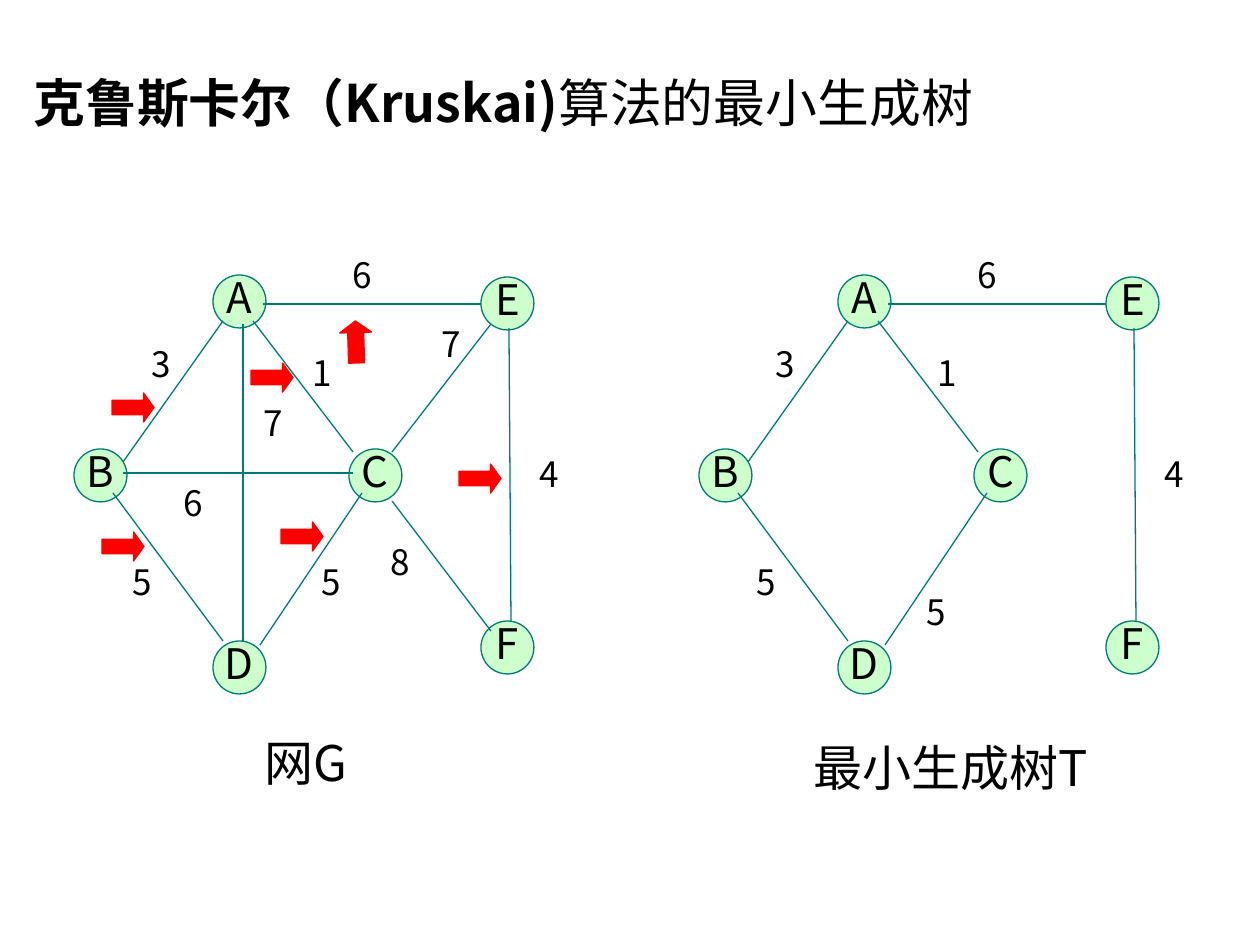
import pptx
import pptx.dml.color
import pptx.enum.shapes
import pptx.enum.text
import pptx.oxml.ns
import pptx.util
from lxml import etree

SCALE = 914400 / 126
FONT = "Noto Sans CJK SC"
BLACK = pptx.dml.color.RGBColor(0x00, 0x00, 0x00)
MINT = pptx.dml.color.RGBColor(0xCC, 0xFF, 0xCC)
TEAL = pptx.dml.color.RGBColor(0x00, 0x7A, 0x77)
RED = pptx.dml.color.RGBColor(0xFF, 0x00, 0x00)
SHAPES = pptx.enum.shapes.MSO_SHAPE
GROW = pptx.enum.text.MSO_AUTO_SIZE.SHAPE_TO_FIT_TEXT
MIDDLE = pptx.enum.text.MSO_ANCHOR.MIDDLE
CENTER = pptx.enum.text.PP_ALIGN.CENTER

NODE_SIZE = 53
LABEL_SIZE = (21, 29)
NODES = {
    "A": (139, 10), "B": (0, 184), "C": (275, 184),
    "D": (139, 376), "E": (407, 12), "F": (407, 356),
}
EDGES = {
    "AB": (149, 56, 49, 197), "BD": (39, 228, 149, 376),
    "BC": (49, 208, 279, 208), "AD": (169, 59, 169, 376),
    "AC": (179, 56, 279, 187), "CD": (288, 228, 186, 380),
    "CE": (417, 59, 318, 187), "CF": (318, 236, 417, 366),
    "EF": (435, 63, 437, 356), "AE": (189, 39, 407, 39),
}
WEIGHTS = {
    "AB": ("3", 77, 89), "AD": ("7", 189, 148), "AC": ("1", 238, 98),
    "CF": ("8", 317, 287), "CE": ("7", 368, 69), "EF": ("4", 465, 199),
    "CD": ("5", 247, 307), "BD": ("5", 58, 307), "BC": ("6", 110, 228),
    "AE": ("6", 279, 0),
}
TREE = ("AB", "BD", "AC", "CD", "EF", "AE")
TREE_WEIGHTS = {**WEIGHTS, "CD": ("5", 227, 337)}
ARROWS = (
    (177, 98, 29, 0), (38, 128, 29, 0), (385, 199, 29, 0),
    (28, 267, 29, 0), (207, 257, 29, 0), (261, 61, 32, 268.3),
)

NODE_FRAME = {"word_wrap": False, "vertical_anchor": MIDDLE}
NODE_PARAGRAPH = {"alignment": CENTER, "line_spacing": 0.8}
LABEL_FRAME = {
    "word_wrap": True, "auto_size": GROW, "margin_left": 0,
    "margin_right": 0, "margin_top": 0, "margin_bottom": 0,
}


def px(*lengths):
    return [pptx.util.Emu(round(length * SCALE)) for length in lengths]


def apply_format(target, values):
    for name, value in values.items():
        setattr(target, name, value)


def write_text(shape, runs, size, frame_format, paragraph_format):
    apply_format(shape.text_frame, frame_format)
    paragraph = shape.text_frame.paragraphs[0]
    apply_format(paragraph, paragraph_format)
    for text, bold in runs:
        run = paragraph.add_run()
        run.text = text
        apply_format(run.font, {"name": FONT, "size": pptx.util.Pt(size), "bold": bold})
        run.font.color.rgb = BLACK
        east_asian = etree.SubElement(run.font._element, pptx.oxml.ns.qn("a:ea"))
        east_asian.set("typeface", FONT)


def add_text(slide, box, runs, size, frame_format, paragraph_format):
    shape = slide.shapes.add_textbox(*px(*box))
    write_text(shape, runs, size, frame_format, paragraph_format)


def add_filled(slide, kind, box, fill, line):
    shape = slide.shapes.add_shape(kind, *px(*box))
    shape.shadow.inherit = False
    shape.fill.solid()
    shape.fill.fore_color.rgb = fill
    shape.line.color.rgb = line
    shape.line.width = pptx.util.Pt(0.75)
    return shape


def add_edge(slide, ends):
    connector = slide.shapes.add_connector(
        pptx.enum.shapes.MSO_CONNECTOR.STRAIGHT, *px(*ends))
    connector.line.color.rgb = TEAL
    connector.line.width = pptx.util.Pt(0.75)
    etree.SubElement(connector._element.spPr, pptx.oxml.ns.qn("a:effectLst"))


def draw_title(slide, box):
    runs = [("克鲁斯卡尔（Kruskai)", True), ("算法的最小生成树", False)]
    add_text(slide, box, runs, 29.6, {"word_wrap": True}, {"line_spacing": 1.1})


def draw_graph(slide, left, top, edges, weights):
    for letter, (x, y) in NODES.items():
        node = add_filled(slide, SHAPES.OVAL,
                          (left + x, top + y, NODE_SIZE, NODE_SIZE), MINT, TEAL)
        write_text(node, [(letter, False)], 24, NODE_FRAME, NODE_PARAGRAPH)
    for edge in edges:
        x1, y1, x2, y2 = EDGES[edge]
        add_edge(slide, (left + x1, top + y1, left + x2, top + y2))
    for edge in edges:
        weight, x, y = weights[edge]
        add_text(slide, (left + x, top + y, *LABEL_SIZE), [(weight, False)], 20,
                 LABEL_FRAME, {"line_spacing": 0.7})


def draw_arrows(slide, left, top):
    for x, y, height, rotation in ARROWS:
        arrow = add_filled(slide, SHAPES.RIGHT_ARROW,
                           (left + x, top + y, 42, height), RED, RED)
        arrow.adjustments[1] = 0.36
        arrow.rotation = rotation


def draw_caption(slide, box, text, wrap):
    add_text(slide, box, [(text, False)], 28, {"word_wrap": wrap, "auto_size": GROW}, {})


def main():
    presentation = pptx.Presentation()
    presentation.slide_width, presentation.slide_height = px(1260, 945)
    slide = presentation.slides.add_slide(presentation.slide_layouts[6])
    draw_title(slide, (21, 58, 1040, 147))
    draw_graph(slide, 74, 265, EDGES, WEIGHTS)
    draw_graph(slide, 699, 265, TREE, TREE_WEIGHTS)
    draw_arrows(slide, 74, 265)
    draw_caption(slide, (252, 726, 121, 72), "网G", False)
    draw_caption(slide, (801, 731, 300, 72), "最小生成树T", True)
    presentation.save("out.pptx")


if __name__ == "__main__":
    main()
